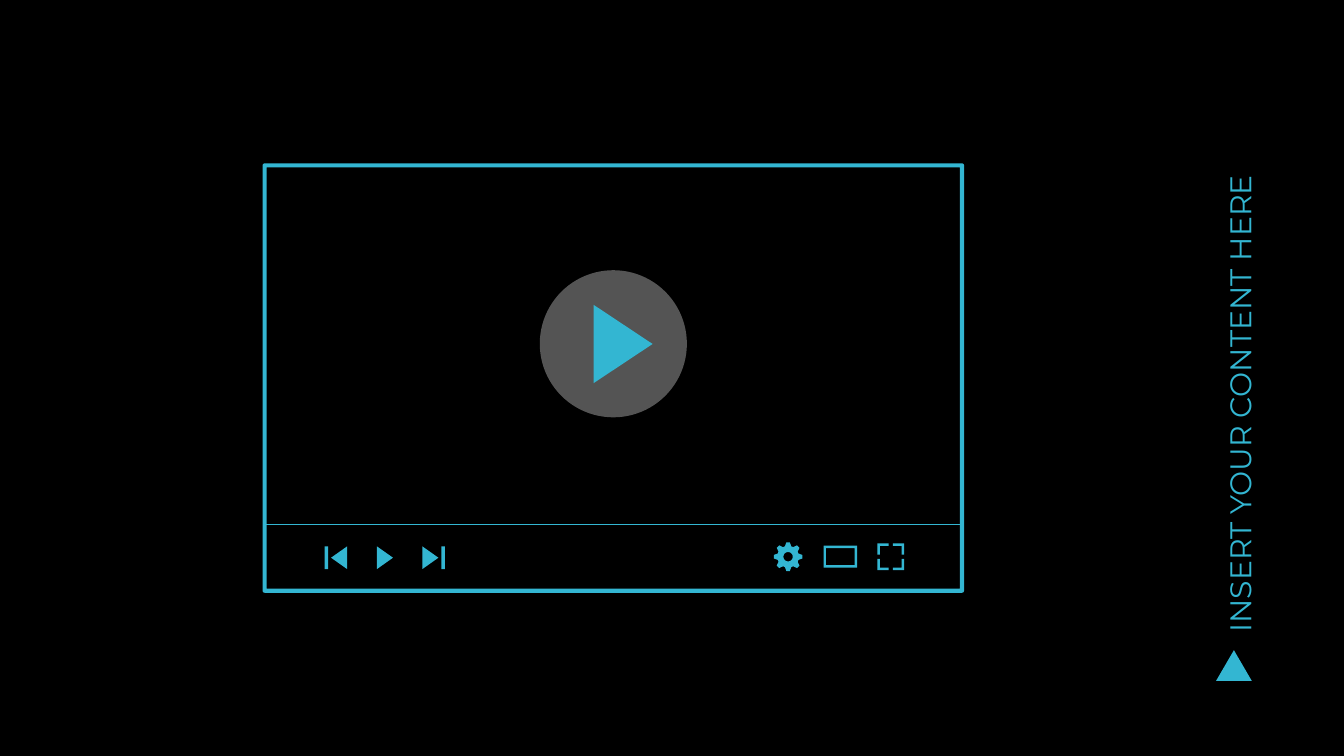
from math import cos, radians, sin

from lxml import etree
from pptx import Presentation
from pptx.dml.color import RGBColor
from pptx.enum.shapes import MSO_CONNECTOR, MSO_SHAPE
from pptx.enum.text import MSO_ANCHOR, PP_ALIGN
from pptx.oxml.ns import qn
from pptx.util import Pt

STRAIGHT = MSO_CONNECTOR.STRAIGHT
RECTANGLE = MSO_SHAPE.RECTANGLE
TRIANGLE = MSO_SHAPE.ISOSCELES_TRIANGLE
OVAL = MSO_SHAPE.OVAL
BOTTOM = MSO_ANCHOR.BOTTOM
LEFT = PP_ALIGN.LEFT

COLORS = {"background": "000000", "accent": "33B6D2", "button": "FFFFFF"}
FONT = "Montserrat"


def color(name):
    return RGBColor.from_string(COLORS[name])


def paint(shape, fill="accent", opacity=None):
    shape.shadow.inherit = False
    shape.fill.solid()
    shape.fill.fore_color.rgb = color(fill)
    shape.line.fill.background()
    if opacity is not None:
        tint = shape._element.spPr.find(qn("a:solidFill"))[0]
        etree.SubElement(tint, qn("a:alpha"), val=str(opacity * 1000))


def add_preset(shapes, kind, left, top, width, height, **style):
    shape = shapes.add_shape(kind, Pt(left), Pt(top), Pt(width), Pt(height))
    paint(shape, **style)


def add_outline(shapes, *contours):
    builder = None
    for contour in contours:
        points = [(Pt(x), Pt(y)) for x, y in contour]
        if builder is None:
            builder = shapes.build_freeform(*points[0], scale=1.0)
        else:
            builder.move_to(*points[0])
        builder.add_line_segments(points[1:], close=True)
    paint(builder.convert_to_shape())


def add_rule(shapes, left, right, y, width):
    rule = shapes.add_connector(STRAIGHT, Pt(left), Pt(y), Pt(right), Pt(y))
    rule.line.color.rgb = color("accent")
    rule.line.width = Pt(width)
    etree.SubElement(rule._element.spPr, qn("a:effectLst"))


def add_text(shapes, text, left, top, width, height, *, size, rotation=0, spacing=1.0):
    box = shapes.add_textbox(Pt(left), Pt(top), Pt(width), Pt(height))
    box.rotation = rotation
    frame = box.text_frame
    frame.word_wrap = True
    frame.vertical_anchor = BOTTOM
    frame.margin_left = frame.margin_right = Pt(7.2)
    frame.margin_top = frame.margin_bottom = Pt(7.2)
    para = frame.paragraphs[0]
    para.alignment = LEFT
    para.line_spacing = spacing
    span = para.add_run()
    span.text = text
    span.font.name = FONT
    span.font.size = Pt(size)
    span.font.color.rgb = color("accent")


def arc(x, y, radius, angles):
    return [(x + radius * cos(radians(a)), y + radius * sin(radians(a))) for a in angles]


def rectangle(left, top, right, bottom):
    return [(left, top), (right, top), (right, bottom), (left, bottom)]


def rounded_rectangle(left, top, right, bottom, radius):
    inner = rectangle(left + radius, top + radius, right - radius, bottom - radius)
    points = []
    for index, (x, y) in enumerate(inner):
        start = 180 + 90 * index
        points += arc(x, y, radius, range(start, start + 91, 15))
    return points


def pointer(base, tip, top, bottom):
    return [(base, top), (tip, (top + bottom) / 2), (base, bottom)]


def add_gear(shapes, x, y):
    teeth = []
    for angle in range(0, 360, 45):
        for radius, offset in ((15.5, -17), (20.6, -7), (20.6, 7), (15.5, 17)):
            teeth += arc(x, y, radius, [angle + offset])
    hole = arc(x, y, 6.7, range(360, 0, -15))
    add_outline(shapes, teeth, hole)


def add_fullscreen_icon(shapes, x, y, outer=19.1, gap=3.1, thickness=3.5):
    edge = outer - thickness
    corner = [(gap, outer), (outer, outer), (outer, gap),
              (edge, gap), (edge, edge), (gap, edge)]
    for side_x in (-1, 1):
        for side_y in (-1, 1):
            add_outline(shapes, [(x + side_x * dx, y + side_y * dy) for dx, dy in corner])


def add_player(shapes):
    add_outline(shapes, rounded_rectangle(375.2, 233.4, 1377.4, 846.8, 3),
                rectangle(381, 239.2, 1371.6, 841)[::-1])
    add_rule(shapes, 378.7, 1376.6, 748.8, 1.5)

    top, bottom = 780.5, 813
    for base, tip in ((496, 473), (538.5, 561.5), (603.4, 626.4)):
        add_outline(shapes, pointer(base, tip, top, bottom))
    for left in (464, 630.7):
        add_preset(shapes, RECTANGLE, left, top, 5, bottom - top)

    add_gear(shapes, 1126, 795.3)
    add_outline(shapes, rectangle(1176.6, 779.6, 1224.6, 810.8),
                rectangle(1180.1, 783.1, 1221.1, 807.3)[::-1])
    add_fullscreen_icon(shapes, 1272.6, 795.3)


def add_play_button(shapes):
    add_preset(shapes, OVAL, 771.2, 386, 210.2, 210.2, fill="button", opacity=33)
    add_outline(shapes, pointer(848.3, 932.4, 435.6, 547.2))


def main():
    deck = Presentation()
    deck.slide_width, deck.slide_height = Pt(1920.24), Pt(1080)
    page = deck.slides.add_slide(deck.slide_layouts[6])
    page.background.fill.solid()
    page.background.fill.fore_color.rgb = color("background")

    add_preset(page.shapes, TRIANGLE, 1737.4, 928.8, 51.1, 43.9)
    add_text(page.shapes, "INSERT YOUR CONTENT HERE", 1341.4, 447.8, 805.7, 120.2,
             size=42.7, rotation=270, spacing=0.9)
    add_player(page.shapes.add_group_shape().shapes)
    add_play_button(page.shapes.add_group_shape().shapes)
    deck.save("out.pptx")


if __name__ == "__main__":
    main()
